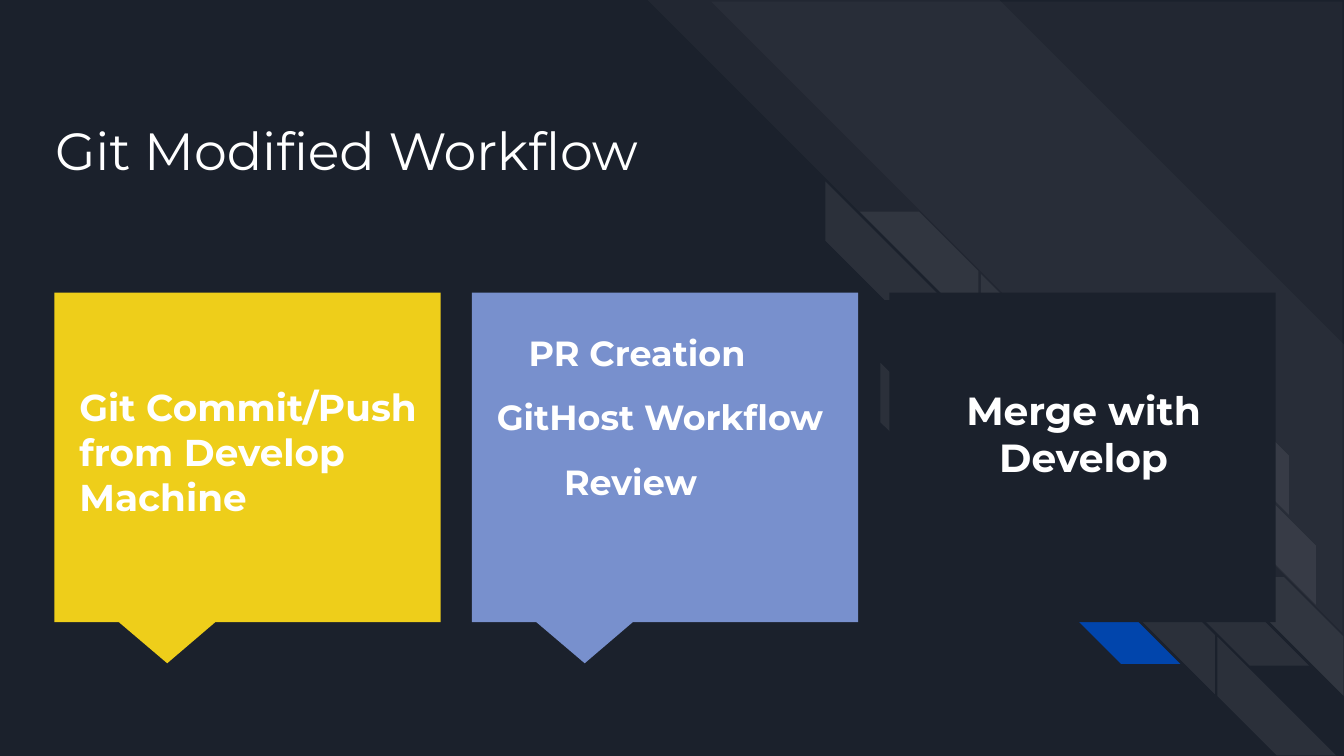
from dataclasses import dataclass

from lxml.etree import SubElement
from pptx import Presentation
from pptx.dml.color import RGBColor
from pptx.enum.shapes import MSO_SHAPE as Shape
from pptx.enum.text import MSO_ANCHOR as Anchor, MSO_AUTO_SIZE as AutoSize, PP_ALIGN as Align
from pptx.oxml.ns import qn
from pptx.util import Cm, Pt

NAVY = RGBColor(0x1B, 0x21, 0x2C)
WHITE = RGBColor(0xFF, 0xFF, 0xFF)
YELLOW = RGBColor(0xEE, 0xCE, 0x1A)
PERIWINKLE = RGBColor(0x78, 0x90, 0xCD)
GREEN = RGBColor(0x82, 0xC7, 0xA5)
BLUE = RGBColor(0x01, 0x45, 0xAC)
FONT = "Montserrat"
INSET = 0.25

# Layout in centimetres
CARD_LEFT, CARD_TOP, CARD_PITCH = 1.03, 5.53, 7.89
CARD_W, CARD_H = 7.3, 6.23
LABEL_DX, LABEL_W, LABEL_H = 0.22, 6.9, 5.56
TILE = 2.24
FLIP_DX, FLIP_DY = 0.65, 0.57


@dataclass
class Stripe:
    left: float
    top: float
    size: float = TILE
    adj: float = 0.5
    rotation: int = 0
    flip: bool = False
    color: RGBColor = WHITE
    opacity: int = 7


@dataclass
class Line:
    text: str
    indent: float = 0


@dataclass
class Card:
    color: RGBColor
    lines: list[Line]
    size: float
    label_top: float
    inset_top: float
    inset_right: float = 0.1
    align: Align = Align.LEFT


def tile_pair(left: float, top: float, first: RGBColor = WHITE,
              second: RGBColor = WHITE) -> list[Stripe]:
    """A rotated tile and the mirrored tile that continues it."""
    return [Stripe(left, top, rotation=270, color=first),
            Stripe(left + FLIP_DX, top + FLIP_DY, flip=True, color=second)]


STRIPES = [
    Stripe(12.24, 0, 13.16, adj=0.495, rotation=90, opacity=3),
    Stripe(13.44, 0.03, 11.93, adj=0, rotation=90, opacity=3),
    *tile_pair(15.6, 3.43),
    *tile_pair(16.64, 6.86),
    *tile_pair(18.54, 5.18, second=GREEN),
    Stripe(19.05, 6.88, rotation=270),
    Stripe(22.12, 7.49, flip=True),
    Stripe(22.63, 9.19, flip=True),
    *tile_pair(19.58, 8.61),
    *tile_pair(20.07, 10.31, first=BLUE),
    *tile_pair(22.5, 10.34),
    Stripe(23.01, 12.04, rotation=270),
]

CARDS = [
    Card(YELLOW, [Line("Git Commit/Push from Develop Machine")], 20, 5.72, 1.54),
    Card(PERIWINKLE, [Line("PR Creation", 0.6), Line("GitHost Workflow"),
                      Line("Review", 1.27)], 18.7, 5.94, 0.33),
    Card(NAVY, [Line("Merge with Develop")], 21, 5.72, 1.58, INSET, Align.CENTER),
]


def add_filled(slide, kind: Shape, left: float, top: float,
               width: float, height: float, color: RGBColor):
    sp = slide.shapes.add_shape(kind, Cm(left), Cm(top), Cm(width), Cm(height))
    sp.shadow.inherit = False
    sp.fill.solid()
    sp.fill.fore_color.rgb = color
    sp.line.fill.background()
    return sp


def add_stripe(slide, stripe: Stripe) -> None:
    sp = add_filled(slide, Shape.DIAGONAL_STRIPE, stripe.left, stripe.top,
                    stripe.size, stripe.size, stripe.color)
    sp.adjustments[0] = stripe.adj
    sp.rotation = stripe.rotation
    if stripe.flip:
        sp.element.spPr.find(qn("a:xfrm")).set("flipH", "1")
    if stripe.color == WHITE:
        clr = sp.element.spPr.find(qn("a:solidFill")).find(qn("a:srgbClr"))
        SubElement(clr, qn("a:alpha")).set("val", str(stripe.opacity * 1000))


def format_frame(tf, inset_top: float = INSET, inset_right: float = INSET) -> None:
    tf.word_wrap = True
    tf.auto_size = AutoSize.NONE
    tf.vertical_anchor = Anchor.TOP
    tf.margin_left = tf.margin_bottom = Cm(INSET)
    tf.margin_top = Cm(inset_top)
    tf.margin_right = Cm(inset_right)


def format_paragraph(p, size: float, bold: bool, align: Align) -> None:
    p.alignment = align
    p.font.name = FONT
    p.font.size = Pt(size)
    p.font.bold = bold
    p.font.color.rgb = WHITE


def add_callout(slide, left: float, color: RGBColor) -> None:
    sp = add_filled(slide, Shape.RECTANGULAR_CALLOUT, left, CARD_TOP, CARD_W, CARD_H, color)
    sp.adjustments[0] = -0.208
    sp.adjustments[1] = 0.625


def add_label(slide, left: float, card: Card) -> None:
    sp = slide.shapes.add_textbox(Cm(left + LABEL_DX), Cm(card.label_top),
                                  Cm(LABEL_W), Cm(LABEL_H))
    tf = sp.text_frame
    format_frame(tf, card.inset_top, card.inset_right)
    for i, line in enumerate(card.lines):
        p = tf.add_paragraph() if i else tf.paragraphs[0]
        p.text = line.text
        format_paragraph(p, card.size, True, card.align)
        if i:
            p.space_before = Pt(12)
        if line.indent:
            p._p.get_or_add_pPr().set("indent", str(Cm(line.indent)))


def main() -> None:
    prs = Presentation()
    prs.slide_width, prs.slide_height = Cm(25.4), Cm(14.29)
    slide = prs.slides.add_slide(prs.slide_layouts[5])
    slide.background.fill.solid()
    slide.background.fill.fore_color.rgb = NAVY

    # Title
    title = slide.shapes.title
    title.left, title.top, title.width, title.height = Cm(0.79), Cm(1.98), Cm(23.95), Cm(2.84)
    title.text_frame.text = "Git Modified Workflow"
    format_frame(title.text_frame)
    format_paragraph(title.text_frame.paragraphs[0], 28, False, Align.LEFT)

    # Diagonal background pattern
    for stripe in STRIPES:
        add_stripe(slide, stripe)

    # Workflow steps
    for i, card in enumerate(CARDS):
        left = CARD_LEFT + i * CARD_PITCH
        add_callout(slide, left, card.color)
        add_label(slide, left, card)

    prs.save("out.pptx")


if __name__ == "__main__":
    main()
